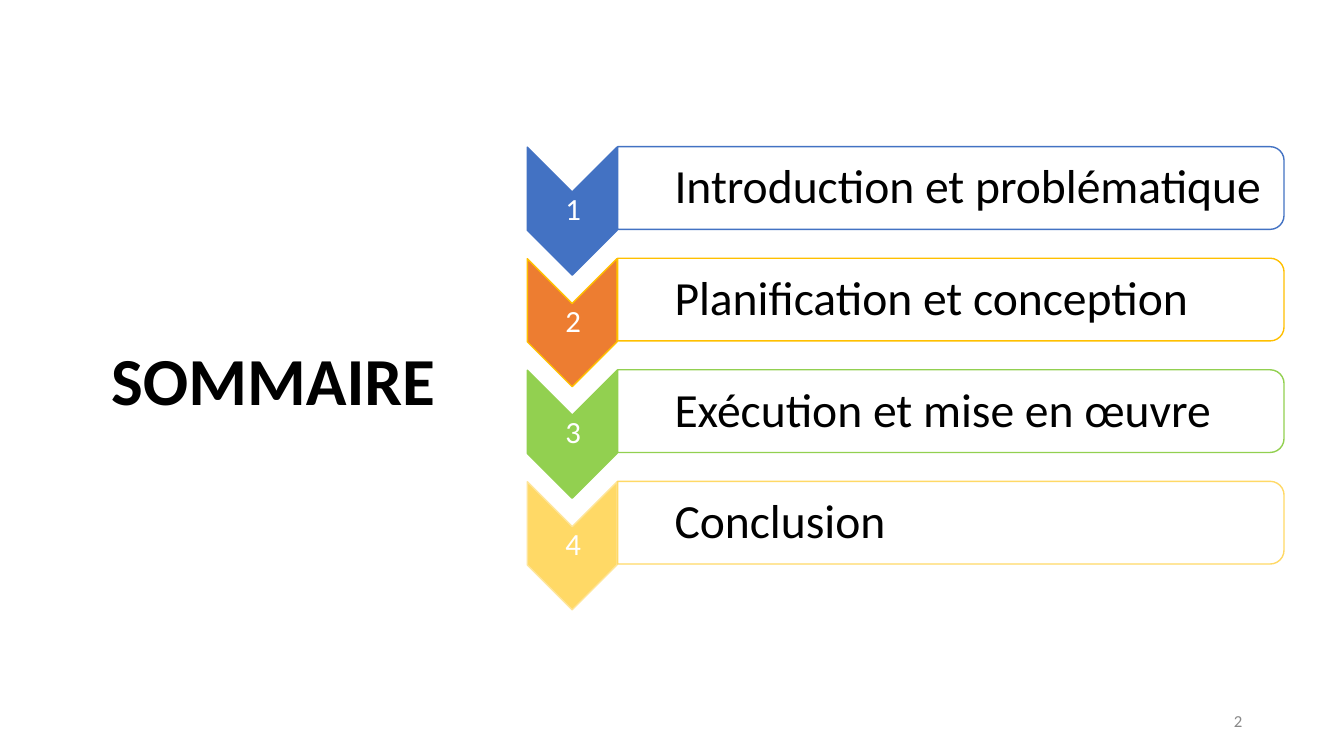
from pptx import Presentation
from pptx.dml.color import RGBColor
from pptx.enum import shapes, text
from pptx.util import Inches, Pt

BLACK = RGBColor(0x00, 0x00, 0x00)
WHITE = RGBColor(0xFF, 0xFF, 0xFF)
GRAY = RGBColor(0x88, 0x88, 0x88)
BLUE = RGBColor(0x43, 0x72, 0xC3)
ORANGE = RGBColor(0xED, 0x7D, 0x31)
GOLD = RGBColor(0xFF, 0xC0, 0x00)
GREEN = RGBColor(0x92, 0xD0, 0x50)
YELLOW = RGBColor(0xFF, 0xD9, 0x66)
CREAM = RGBColor(0xFE, 0xE5, 0x99)

# Wording, chevron fill, chevron line, bar line
STEPS = [
    ("Introduction et problématique", BLUE, BLUE, BLUE),
    ("Planification et conception", ORANGE, GOLD, GOLD),
    ("Exécution et mise en œuvre", GREEN, GREEN, GREEN),
    ("Conclusion", YELLOW, CREAM, YELLOW),
]
TOP = 1.65
PITCH = 3.32 / 3
Kind = shapes.MSO_SHAPE
Align = text.PP_ALIGN


def add_part(kind, box, adjust, fill, line):
    """Add an outlined shape turned a quarter clockwise."""
    part = slide.shapes.add_shape(kind, *map(Inches, box))
    part.rotation = 90
    part.shadow.inherit = False
    part.adjustments[0] = adjust
    part.fill.solid()
    part.fill.fore_color.rgb = fill
    part.line.color.rgb = line
    part.line.width = Pt(1)


def add_label(words, box, size, color, align, inset=0.02, space=0.9):
    """Add a one-line text box, centred vertically."""
    frame = slide.shapes.add_textbox(*map(Inches, box)).text_frame
    frame.word_wrap = True
    frame.vertical_anchor = text.MSO_ANCHOR.MIDDLE
    frame.margin_left = Inches(inset)
    frame.margin_right = frame.margin_top = frame.margin_bottom = Inches(0.02)
    para = frame.paragraphs[0]
    para.text = words
    para.alignment = align
    para.line_spacing = space
    para.font.name = "Calibri"
    para.font.size = Pt(size)
    para.font.color.rgb = color
    return frame


deck = Presentation()
deck.slide_width = Inches(13.33)
deck.slide_height = Inches(7.5)
slide = deck.slides.add_slide(deck.slide_layouts[5])

title = slide.shapes.title
title.left, title.top = Inches(0.38), Inches(3.05)
title.width, title.height = Inches(4.66), Inches(1.41)
title.text_frame.vertical_anchor = text.MSO_ANCHOR.MIDDLE
head = title.text_frame.paragraphs[0]
head.text = "SOMMAIRE"
head.alignment = Align.CENTER
head.font.name = "Calibri"
head.font.size = Pt(48)
head.font.bold = True
head.font.color.rgb = BLACK

for i, (words, fill, edge, line) in enumerate(STEPS):
    top = TOP + i * PITCH
    add_part(Kind.CHEVRON, (5.04, top, 1.27, 0.89), 0.5, fill, edge)
    add_label(str(i + 1), (5.24, top + 0.25, 0.89, 0.38), 22, WHITE, Align.CENTER)
    add_part(Kind.ROUND_2_SAME_RECTANGLE, (9.02, top - 3.09, 0.82, 6.61),
             0.167, WHITE, line)
    add_label(words, (6.12, top - 0.15, 6.57, 0.74), 34, BLACK, Align.LEFT, 0.57)

number = add_label("2", (9.42, 6.95, 3, 0.4), 12, GRAY, Align.RIGHT, space=1.0)
number.margin_right = Inches(0.1)

deck.save("out.pptx")
